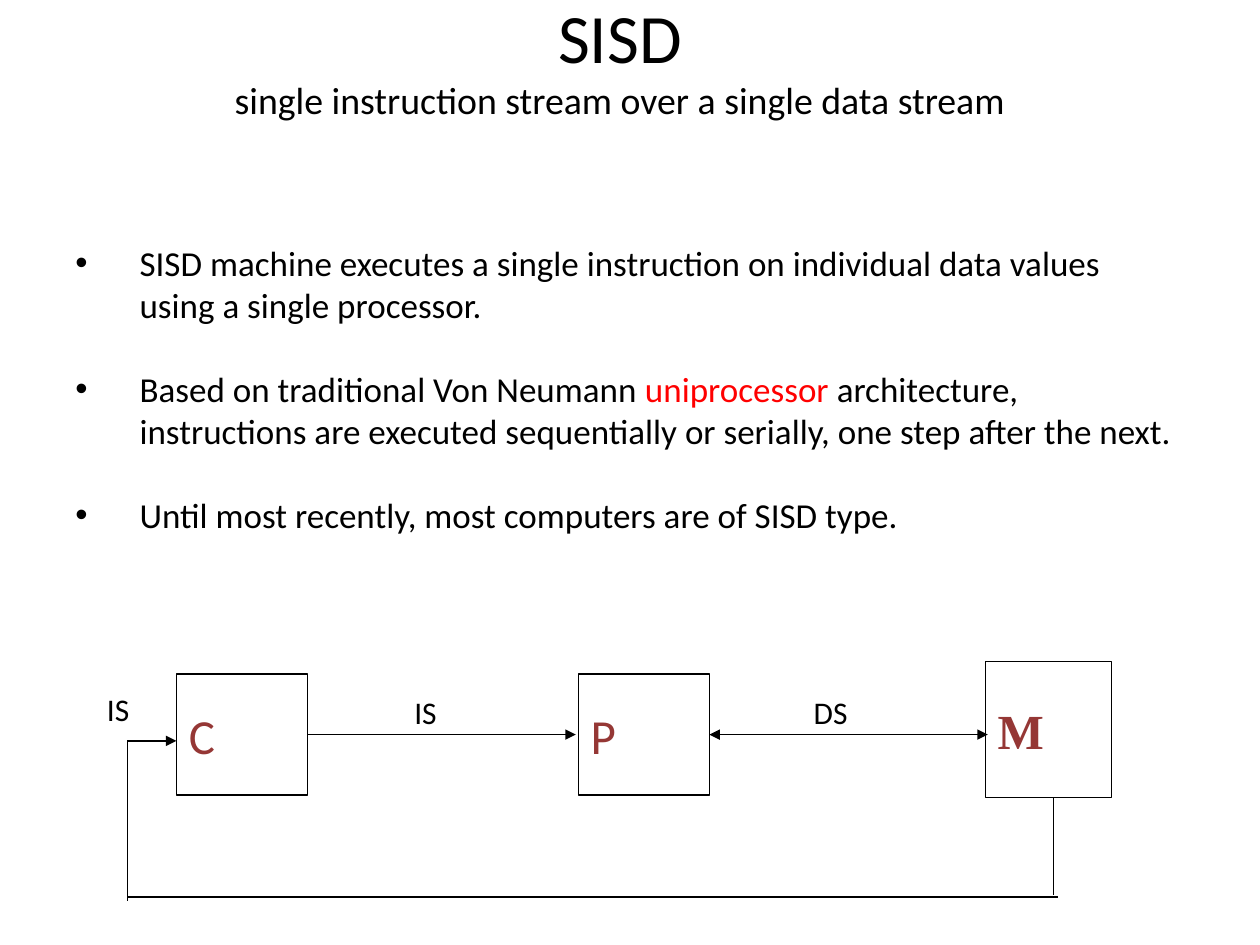
from typing import NamedTuple

from lxml.etree import SubElement
from pptx import Presentation
from pptx.dml.color import RGBColor
from pptx.enum.shapes import MSO_CONNECTOR, MSO_SHAPE
from pptx.enum.text import MSO_ANCHOR, PP_ALIGN
from pptx.oxml.ns import qn
from pptx.util import Emu, Inches, Pt

COLUMNS, ROWS = 100, 75
WIDTH, HEIGHT = Inches(10), Inches(7.5)
BLACK, WHITE, RED, MAROON = "000000", "FFFFFF", "FF0000", "953735"
BODY_FONT = "Calibri"
BULLET_INDENT = Inches(0.51)


class Area(NamedTuple):
    """A rectangle in grid columns and rows."""
    column: float
    row: float
    columns: float
    rows: float


class Unit(NamedTuple):
    """A boxed part of the machine."""
    letter: str
    area: Area
    font: str = BODY_FONT
    bold: bool = False


class Stream(NamedTuple):
    """A straight piece of the path between units."""
    start: tuple[float, float]
    end: tuple[float, float]
    head: bool = False
    tail: bool = False


class Label(NamedTuple):
    """The name of a stream."""
    wording: str
    area: Area


TITLE_AREA = Area(4.2, 0, 90, 9.2)
POINTS_AREA = Area(5, 13.3, 90, 35)
CONTROL = Area(14, 53.5, 10.4, 9.6)
PROCESSOR = CONTROL._replace(column=45.9)
MEMORY = Area(78.2, 52.5, 10, 10.8)
FORWARD_ROW = CONTROL.row + CONTROL.rows / 2
ENTRY_ROW, RETURN_ROW = 58.8, 71.2
RETURN_LEFT, RETURN_RIGHT = 10.1, 83.6

UNITS = [
    Unit("C", CONTROL),
    Unit("P", PROCESSOR),
    Unit("M", MEMORY, "Times New Roman", True),
]
STREAMS = [
    Stream((CONTROL.column + CONTROL.columns, FORWARD_ROW), (45.7, FORWARD_ROW), tail=True),
    Stream((PROCESSOR.column + PROCESSOR.columns, FORWARD_ROW), (78.4, FORWARD_ROW), True, True),
    Stream((RETURN_LEFT, RETURN_ROW), (84, RETURN_ROW)),
    Stream((RETURN_RIGHT, 71), (RETURN_RIGHT, MEMORY.row + MEMORY.rows)),
    Stream((RETURN_LEFT, 71.5), (RETURN_LEFT, ENTRY_ROW)),
    Stream((RETURN_LEFT, ENTRY_ROW), (CONTROL.column, ENTRY_ROW), tail=True),
]
LABELS = [
    Label("IS", Area(7.5, 53.8, 5.2, 5)),
    Label("IS", Area(31.9, 54, 5.2, 5)),
    Label("DS", Area(63.6, 54, 6.6, 5)),
]
POINTS = [
    [("SISD machine executes a single instruction on individual data values\v"
      "using a single processor.", BLACK)],
    [("Based on traditional Von Neumann ", BLACK), ("uniprocessor", RED),
     (" architecture, instructions are executed sequentially or serially, "
      "one step after the next.", BLACK)],
    [("Until most recently, most computers are of SISD type.", BLACK)],
]


def rgb(value: str) -> RGBColor:
    """Turn a hex string into a colour."""
    return RGBColor.from_string(value)


def across(column: float) -> Emu:
    """Convert grid columns to a length."""
    return Emu(round(WIDTH * column / COLUMNS))


def down(row: float) -> Emu:
    """Convert grid rows to a length."""
    return Emu(round(HEIGHT * row / ROWS))


def place(area: Area) -> tuple[Emu, Emu, Emu, Emu]:
    """Convert an area to left, top, width and height."""
    return across(area.column), down(area.row), across(area.columns), down(area.rows)


def set_font(font, size: float, color: str = BLACK, name: str = BODY_FONT, bold: bool = False) -> None:
    """Set size, colour, typeface and weight."""
    font.size, font.name, font.bold = Pt(size), name, bold
    font.color.rgb = rgb(color)


def add_text_frame(slide, area: Area):
    """Add a wrapping, vertically centred text box and return its frame."""
    frame = slide.shapes.add_textbox(*place(area)).text_frame
    frame.word_wrap = True
    frame.vertical_anchor = MSO_ANCHOR.MIDDLE
    return frame


def draw_title(slide) -> None:
    """Write the heading and its explanation."""
    heading = add_text_frame(slide, TITLE_AREA).paragraphs[0]
    heading.alignment = PP_ALIGN.CENTER
    acronym = heading.add_run()
    acronym.text = "SISD"
    set_font(acronym.font, 39.6)
    heading.add_line_break()
    meaning = heading.add_run()
    meaning.text = "single instruction stream over a single data stream"
    set_font(meaning.font, 21.6)


def draw_points(slide) -> None:
    """Write the bulleted statements."""
    frame = add_text_frame(slide, POINTS_AREA)
    for index, pieces in enumerate(POINTS):
        point = frame.add_paragraph() if index else frame.paragraphs[0]
        properties = point._p.get_or_add_pPr()
        properties.set("marL", str(BULLET_INDENT))
        properties.set("indent", str(-BULLET_INDENT))
        if index:
            point.space_before = Pt(24)
        SubElement(properties, qn("a:buFont"), typeface="Arial")
        SubElement(properties, qn("a:buChar"), char="•")
        set_font(point.font, 20)
        for wording, color in pieces:
            if "\v" in wording:
                point.text = wording
                continue
            piece = point.add_run()
            piece.text = wording
            if color != BLACK:
                piece.font.color.rgb = rgb(color)


def draw_unit(slide, unit: Unit) -> None:
    """Draw one boxed unit with its letter."""
    box = slide.shapes.add_shape(MSO_SHAPE.RECTANGLE, *place(unit.area))
    box.shadow.inherit = False
    box.fill.solid()
    box.fill.fore_color.rgb = rgb(WHITE)
    box.line.color.rgb = rgb(BLACK)
    box.line.width = Pt(0.75)
    box.text_frame.vertical_anchor = MSO_ANCHOR.MIDDLE
    letter = box.text_frame.paragraphs[0]
    letter.text = unit.letter
    letter.alignment = PP_ALIGN.LEFT
    set_font(letter.font, 28, MAROON, unit.font, unit.bold)


def draw_stream(slide, stream: Stream) -> None:
    """Draw one line with its arrowheads."""
    (left, top), (right, bottom) = stream.start, stream.end
    line = slide.shapes.add_connector(
        MSO_CONNECTOR.STRAIGHT, across(left), down(top), across(right), down(bottom))
    line.line.color.rgb = rgb(BLACK)
    line.line.width = Pt(0.75)
    outline = line.line._get_or_add_ln()
    for tag, shown in (("a:headEnd", stream.head), ("a:tailEnd", stream.tail)):
        if shown:
            SubElement(outline, qn(tag), type="triangle")
    SubElement(line._element.spPr, qn("a:effectLst"))


def draw_label(slide, label: Label) -> None:
    """Write the name of a stream."""
    name = add_text_frame(slide, label.area).paragraphs[0]
    name.text = label.wording
    set_font(name.font, 18)


def main() -> None:
    """Build and save the slide."""
    deck = Presentation()
    deck.slide_width, deck.slide_height = WIDTH, HEIGHT
    slide = deck.slides.add_slide(deck.slide_layouts[6])
    draw_title(slide)
    for draw, parts in ((draw_unit, UNITS), (draw_stream, STREAMS), (draw_label, LABELS)):
        for part in parts:
            draw(slide, part)
    draw_points(slide)
    deck.save("out.pptx")


if __name__ == "__main__":
    main()
